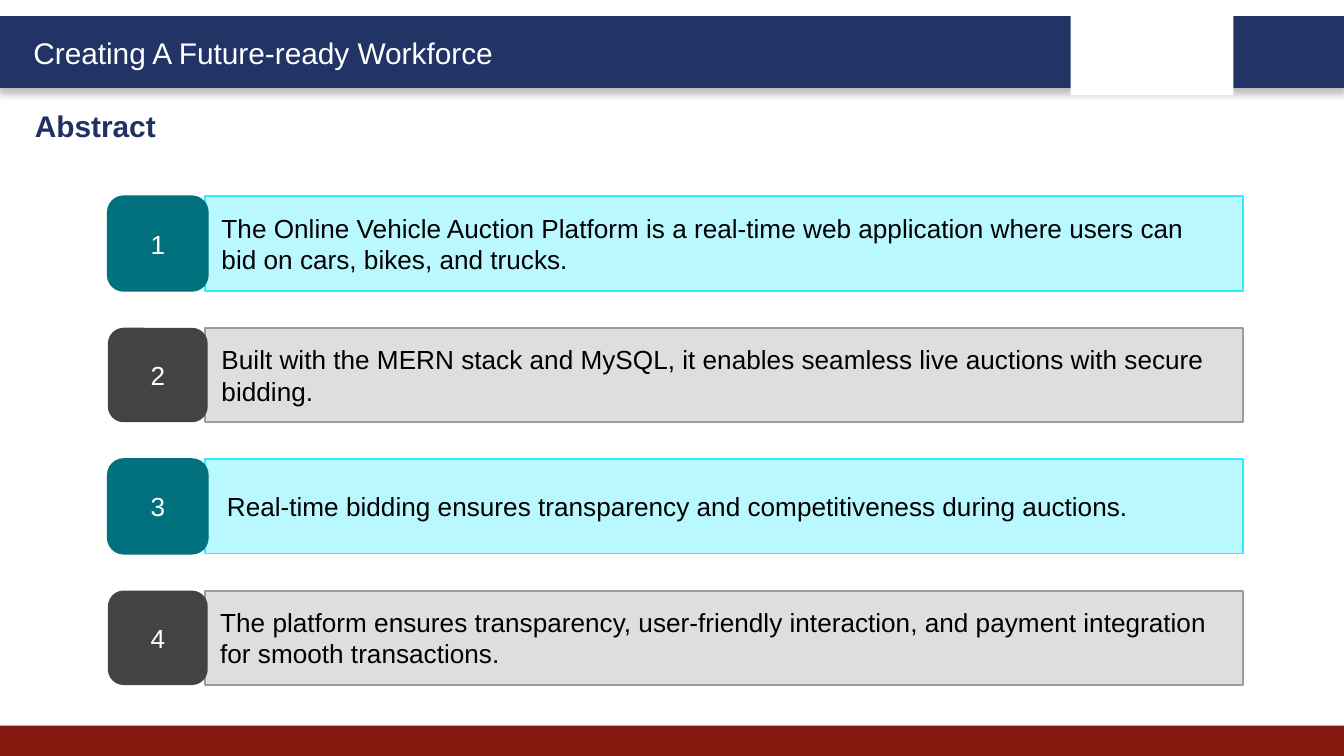
import pptx
import pptx.util
import pptx.dml.color
import pptx.enum.shapes
import pptx.enum.text
import pptx.oxml
import pptx.oxml.ns

Pt = pptx.util.Pt
SHAPE = pptx.enum.shapes.MSO_SHAPE
ANCHOR = pptx.enum.text.MSO_ANCHOR
ALIGN = pptx.enum.text.PP_ALIGN

BANNER = "Creating A Future-ready Workforce"
HEADING = "Abstract"
POINTS = [
    ("The Online Vehicle Auction Platform is a real-time web application "
     "where users can bid on cars, bikes, and trucks.", 111.6, 41),
    ("Built with the MERN stack and MySQL, it enables seamless live auctions "
     "with secure bidding.", 111.6, 41),
    ("Real-time bidding ensures transparency and competitiveness "
     "during auctions.", 114.5, 24.5),
    ("The platform ensures transparency, user-friendly interaction, "
     "and payment integration for smooth transactions.", 110.9, 41),
]
THEMES = [
    {"badge": "00717D", "badge_line": "00717D", "bar": "BAF8FF", "bar_line": "31EBFF"},
    {"badge": "434343", "badge_line": None, "bar": "DEDEDE", "bar_line": "9B9B9B"},
]
FIRST_TOP, ROW_STEP, ROW_HEIGHT = 105.2, 70.4, 50.6
SHADOW = (
    f'<a:effectLst {pptx.oxml.ns.nsdecls("a")}>'
    '<a:outerShdw blurRad="50800" dist="38100" dir="5400000" rotWithShape="0">'
    '<a:srgbClr val="000000"><a:alpha val="25000"/></a:srgbClr>'
    '</a:outerShdw></a:effectLst>'
)


def rgb(value):
    return pptx.dml.color.RGBColor.from_string(value)


def add_block(slide, kind, box, fill, line=None, weight=1):
    block = slide.shapes.add_shape(kind, *map(Pt, box))
    block.shadow.inherit = False
    block.fill.solid()
    block.fill.fore_color.rgb = rgb(fill)
    if line:
        block.line.color.rgb = rgb(line)
        block.line.width = Pt(weight)
    else:
        block.line.fill.background()
    return block


def write(shape, text, size, color, bold=False, align=ALIGN.LEFT, anchor=ANCHOR.TOP):
    frame = shape.text_frame
    frame.word_wrap = True
    frame.auto_size = pptx.enum.text.MSO_AUTO_SIZE.NONE
    frame.vertical_anchor = anchor
    paragraph = frame.paragraphs[0]
    paragraph.text = text
    paragraph.alignment = align
    paragraph.font.name = "Arial"
    paragraph.font.size = Pt(size)
    paragraph.font.bold = bold
    paragraph.font.color.rgb = rgb(color)


def add_text(slide, box, text, size, color, **style):
    write(slide.shapes.add_textbox(*map(Pt, box)), text, size, color, **style)


def add_frame(slide):
    banner = add_block(slide, SHAPE.RECTANGLE, (0, 9.4, 720, 36.7), "223366", "223366", 2)
    properties = banner.element.spPr
    properties.remove(properties.find(pptx.oxml.ns.qn("a:effectLst")))
    properties.append(pptx.oxml.parse_xml(SHADOW))
    add_block(slide, SHAPE.RECTANGLE, (0, 388.8, 720, 16.2), "851910")
    add_block(slide, SHAPE.RECTANGLE, (573.6, 5, 87.2, 46), "FFFFFF")
    add_text(slide, (10.8, 15.1, 272.2, 26.6), BANNER, 16, "FFFFFF")

    heading = slide.shapes.title
    heading.left, heading.top, heading.width, heading.height = map(Pt, (11.5, 54, 348.5, 26.6))
    write(heading, HEADING, 16, "213163", bold=True)


def add_points(slide):
    for index, (text, text_left, text_height) in enumerate(POINTS):
        theme = THEMES[index % len(THEMES)]
        top = FIRST_TOP + index * ROW_STEP
        add_block(slide, SHAPE.RECTANGLE, (110, top, 556, ROW_HEIGHT),
                  theme["bar"], theme["bar_line"])
        badge = add_block(slide, SHAPE.ROUNDED_RECTANGLE, (57.8, top, 53.5, ROW_HEIGHT),
                          theme["badge"], theme["badge_line"])
        write(badge, str(index + 1), 14, "FFFFFF", align=ALIGN.CENTER, anchor=ANCHOR.MIDDLE)
        text_top = top + (ROW_HEIGHT - text_height) / 2
        add_text(slide, (text_left, text_top, 546, text_height), text, 14, "000000",
                 anchor=ANCHOR.MIDDLE)


def main():
    deck = pptx.Presentation()
    deck.slide_width, deck.slide_height = Pt(720), Pt(405)
    slide = deck.slides.add_slide(deck.slide_layouts[5])
    add_frame(slide)
    add_points(slide)
    deck.save("out.pptx")


if __name__ == "__main__":
    main()
